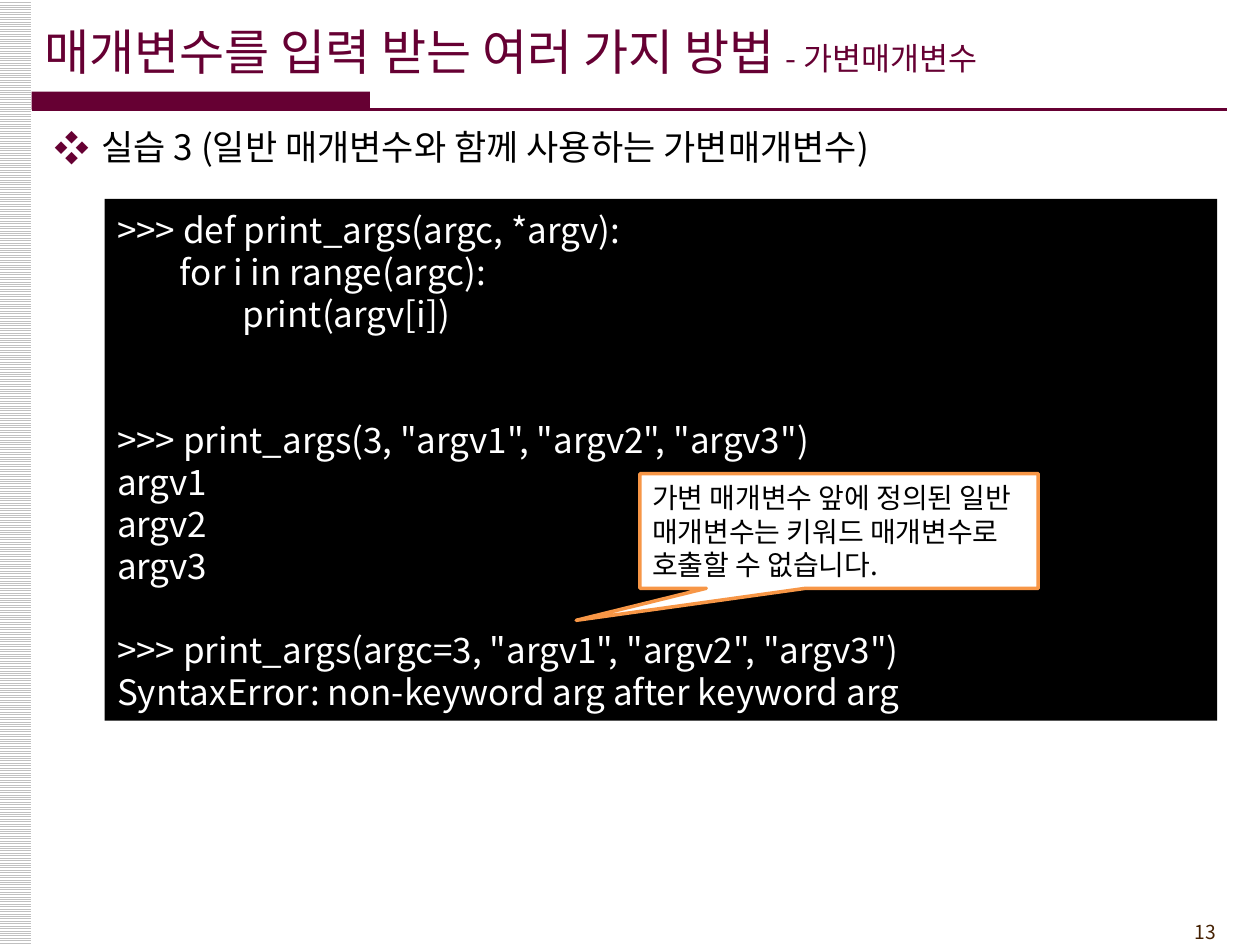
import pptx
import pptx.util
import pptx.dml.color
import pptx.enum.dml
import pptx.enum.shapes
import pptx.enum.text
import pptx.oxml.ns
from lxml import etree

Cm, Pt = pptx.util.Cm, pptx.util.Pt
RGBColor = pptx.dml.color.RGBColor
Align = pptx.enum.text.PP_ALIGN
Anchor = pptx.enum.text.MSO_ANCHOR
Shape = pptx.enum.shapes.MSO_SHAPE
qn = pptx.oxml.ns.qn

FONT = "Noto Sans CJK KR"
WINE = RGBColor(0x66, 0x00, 0x33)
BROWN = RGBColor(0x45, 0x21, 0x03)
SILVER = RGBColor(0xC0, 0xC0, 0xC0)
ORANGE = RGBColor(0xF7, 0x96, 0x46)
BLACK = RGBColor(0x00, 0x00, 0x00)
WHITE = RGBColor(0xFF, 0xFF, 0xFF)

CODE_PITCH = 24
# Blocks of console lines, each with the number of empty lines above it
CODE_BLOCKS = [
    (0, [">>> def print_args(argc, *argv):",
         "        for i in range(argc):",
         "                print(argv[i])"]),
    (2, ['>>> print_args(3, "argv1", "argv2", "argv3")',
         "argv1", "argv2", "argv3"]),
    (1, ['>>> print_args(argc=3, "argv1", "argv2", "argv3")',
         "SyntaxError: non-keyword arg after keyword arg"]),
]


def add_span(para, text, size=20, color=BLACK, align=Align.LEFT, pitch=None, before=0):
    """Append formatted text to a paragraph; pitch is the line height in points."""
    para.alignment = align
    para.space_before = Pt(before)
    if pitch:
        para.line_spacing = Pt(pitch)
    span = para.add_run()
    span.text = text
    span.font.name, span.font.size, span.font.bold = FONT, Pt(size), False
    span.font.color.rgb = color
    etree.SubElement(span.font._element, qn("a:ea"), typeface=FONT)


def prepare_frame(box, anchor=Anchor.TOP, top=0.13):
    frame = box.text_frame
    frame.word_wrap = True
    frame.auto_size = pptx.enum.text.MSO_AUTO_SIZE.NONE
    frame.vertical_anchor = anchor
    frame.margin_top = Cm(top)
    return frame


def place(box, left, top, width, height):
    box.left, box.top, box.width, box.height = map(Cm, (left, top, width, height))


def add_block(page, kind, left, top, width, height, color=None):
    block = page.shapes.add_shape(kind, *map(Cm, (left, top, width, height)))
    block.shadow.inherit = False
    block.line.fill.background()
    if color is not None:
        block.fill.solid()
        block.fill.fore_color.rgb = color
    return block


def add_frame_decoration(page, left, top, width, height):
    # Striped left edge
    stripe = add_block(page, Shape.RECTANGLE, left - 0.67, 0, 0.66, height)
    stripe.fill.patterned()
    stripe.fill.pattern = pptx.enum.dml.MSO_PATTERN.LIGHT_HORIZONTAL
    stripe.fill.fore_color.rgb = SILVER
    stripe.fill.back_color.rgb = WHITE
    # Bar and rule below the title
    add_block(page, Shape.RECTANGLE, left, top, 6.82, 0.36, WINE)
    rule = page.shapes.add_connector(
        pptx.enum.shapes.MSO_CONNECTOR.STRAIGHT,
        Cm(left), Cm(top + 0.36), Cm(left + width), Cm(top + 0.36))
    rule.line.color.rgb = WINE
    rule.line.width = Pt(1.5)
    etree.SubElement(rule._element.spPr, qn("a:effectLst"))


def fill_title(page, *area):
    title = page.shapes.title
    place(title, *area)
    para = prepare_frame(title, Anchor.MIDDLE).paragraphs[0]
    add_span(para, "매개변수를 입력 받는 여러 가지 방법 ", size=28, color=WINE)
    add_span(para, "- 가변매개변수", size=18, color=WINE)


def fill_body(page, *area):
    body = page.placeholders[1]
    place(body, *area)
    para = prepare_frame(body, top=0.19).paragraphs[0]
    layout = para._p.get_or_add_pPr()
    layout.set("marL", str(Cm(0.95)))
    layout.set("indent", str(-Cm(0.95)))
    bullet_color = etree.SubElement(layout, qn("a:buClr"))
    etree.SubElement(bullet_color, qn("a:srgbClr"), val=str(WINE))
    etree.SubElement(layout, qn("a:buFont"), typeface=FONT)
    etree.SubElement(layout, qn("a:buChar"), char="❖")
    add_span(para, "실습 3 (일반 매개변수와 함께 사용하는 가변매개변수)", pitch=CODE_PITCH)


def add_console(page, left, top, width, height):
    console = add_block(page, Shape.RECTANGLE, left, top, width, height, BLACK)
    frame = prepare_frame(console, top=0.2)
    para = frame.paragraphs[0]
    for gap, lines in CODE_BLOCKS:
        for index, line in enumerate(lines):
            if para is None:
                para = frame.add_paragraph()
            add_span(para, line, color=WHITE, align=Align.JUSTIFY, pitch=CODE_PITCH,
                     before=0 if index else gap * CODE_PITCH)
            para = None
    # Callout pointing at the failing call
    callout = add_block(page, Shape.RECTANGULAR_CALLOUT,
                        left + 10.79, top + 5.54, 8.03, 2.31, WHITE)
    callout.adjustments[0], callout.adjustments[1] = -0.66, 0.78
    callout.line.color.rgb = ORANGE
    callout.line.width = Pt(2)
    add_span(prepare_frame(callout, Anchor.MIDDLE).paragraphs[0],
             "가변 매개변수 앞에 정의된 일반 매개변수는 키워드 매개변수로 호출할 수 없습니다.",
             size=16, pitch=19)


def add_page_number(page, *area):
    box = page.shapes.add_textbox(*map(Cm, area))
    add_span(prepare_frame(box, Anchor.MIDDLE).paragraphs[0], "13",
             size=11, color=BROWN, align=Align.RIGHT)


def main():
    deck = pptx.Presentation()
    deck.slide_width, deck.slide_height = Cm(25.4), Cm(19.05)
    page = deck.slides.add_slide(deck.slide_layouts[1])
    add_frame_decoration(page, 0.64, 1.85, 24.1, 19.05)
    fill_title(page, 0.64, 0.23, 21.01, 1.6)
    fill_body(page, 0.84, 2.34, 24.13, 15.88)
    add_console(page, 2.11, 4.01, 22.43, 10.52)
    add_page_number(page, 22.66, 18.42, 2.11, 0.74)
    deck.save("out.pptx")


if __name__ == "__main__":
    main()
